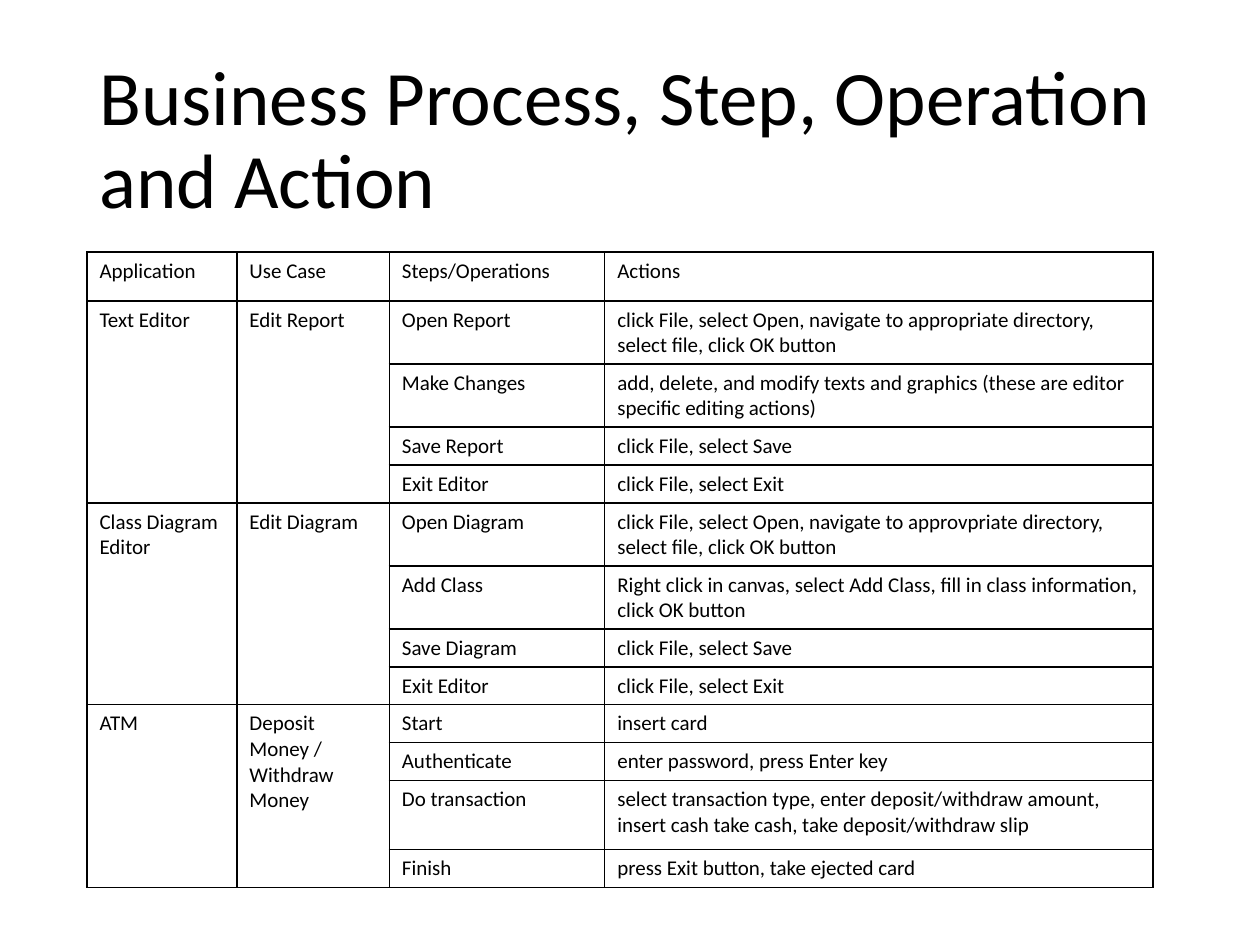
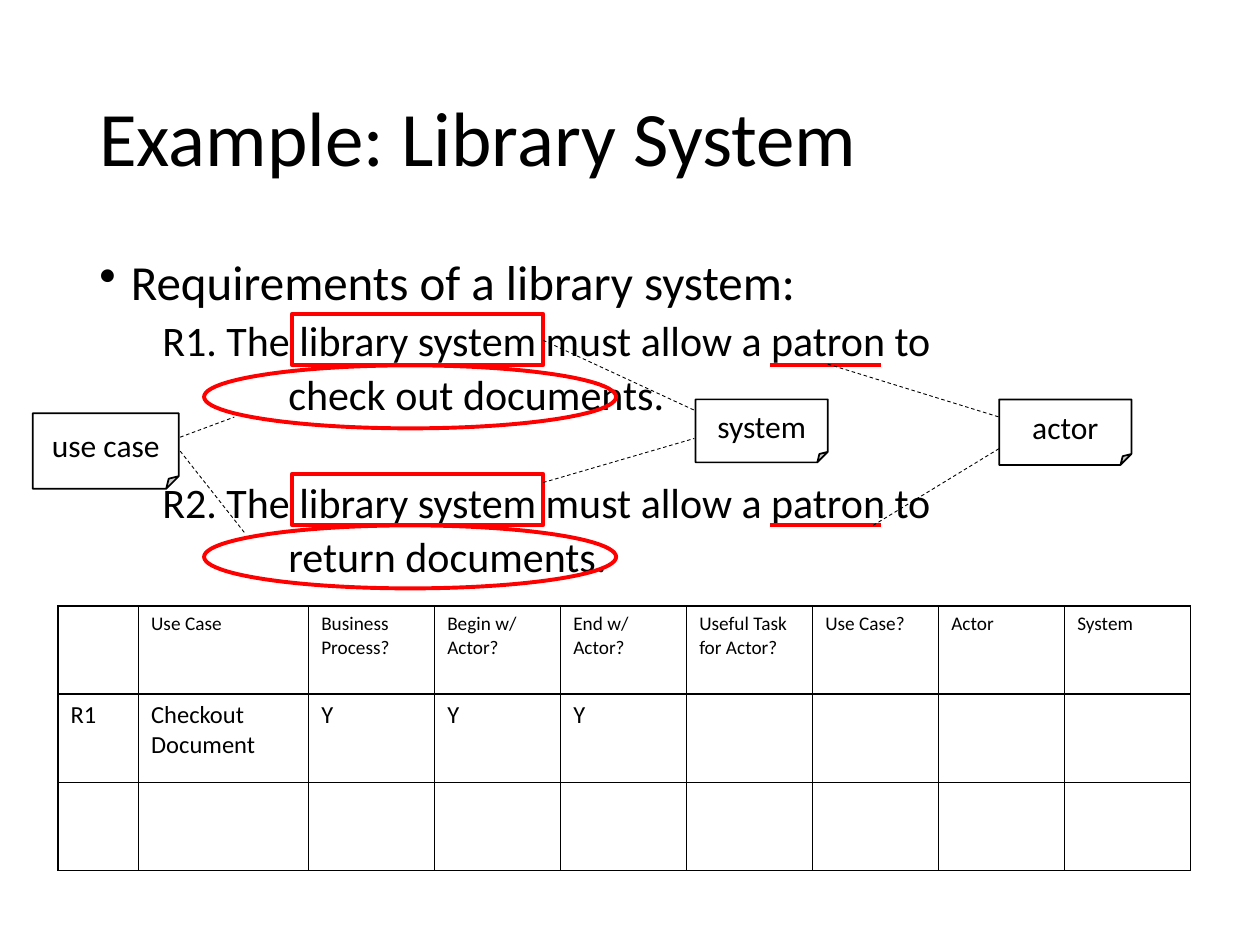
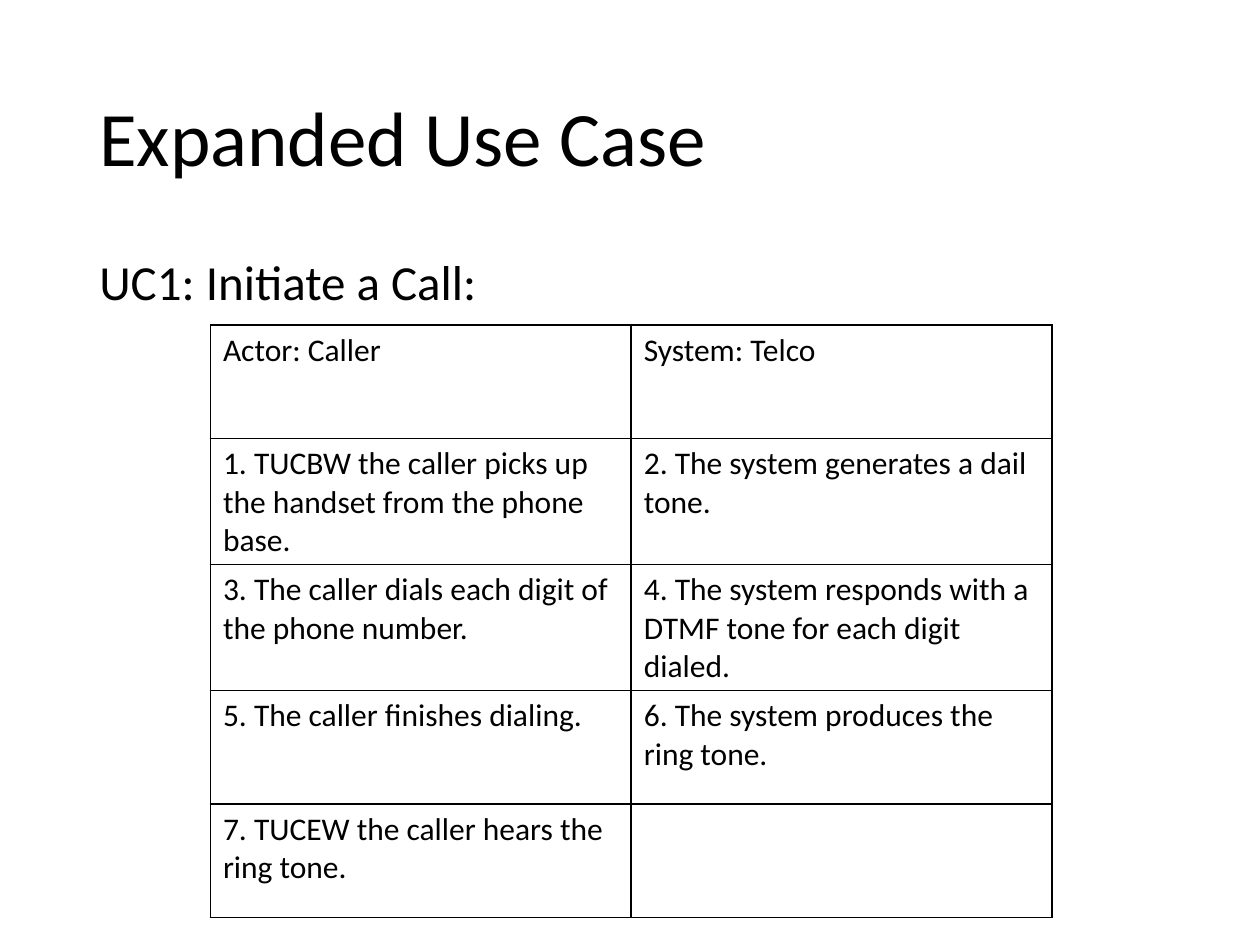
import pptx
import pptx.dml.color
import pptx.enum.dml
import pptx.enum.shapes
import pptx.enum.text
import pptx.oxml
import pptx.oxml.ns
import pptx.util
from pptx.util import Inches

FONT = "Calibri"
BLACK, WHITE, RED = "000000", "FFFFFF", "FF0000"
TITLE_BOX = (0.69, 0.4, 8.62, 1.45)
BODY_BOX = (0.69, 2, 8.62, 4.76)
SHAPES = pptx.enum.shapes.MSO_SHAPE
ALIGN = pptx.enum.text.PP_ALIGN
ANCHOR = pptx.enum.text.MSO_ANCHOR


def color(value):
    """Turn a hex string into a colour."""
    return pptx.dml.color.RGBColor.from_string(value)


def inches(values):
    """Turn numbers into lengths in inches."""
    return [Inches(value) for value in values]


def write(frame, text, size=18, align=ALIGN.LEFT, line_spacing=None, before=0,
          left=0, bullet=None):
    """Add one formatted paragraph to a text frame."""
    paragraph = frame.paragraphs[0] if not frame.text else frame.add_paragraph()
    paragraph.alignment = align
    paragraph.line_spacing = line_spacing
    paragraph.space_before = pptx.util.Pt(before)
    run = paragraph.add_run()
    run.text = text
    run.font.name = FONT
    run.font.size = pptx.util.Pt(size)
    run.font.color.rgb = color(BLACK)
    properties = paragraph._p.get_or_add_pPr()
    properties.set("marL", str(Inches(left)))
    if bullet:
        properties.set("indent", str(-Inches(left)))
        properties.append(pptx.oxml.parse_xml(
            f'<a:buChar {pptx.oxml.ns.nsdecls("a")} char="{bullet}"/>'))


def add_text_box(slide, box, anchor=ANCHOR.TOP):
    """Add a wrapping text box and return its text frame."""
    frame = slide.shapes.add_textbox(*inches(box)).text_frame
    frame.word_wrap = True
    frame.vertical_anchor = anchor
    return frame


def add_titled_slide(presentation, title):
    """Add a blank slide with the shared title."""
    slide = presentation.slides.add_slide(presentation.slide_layouts[6])
    frame = add_text_box(slide, TITLE_BOX, ANCHOR.MIDDLE)
    write(frame, title, size=44, line_spacing=0.9)
    return slide


def add_borders(cell):
    """Draw a thin black line on all sides of a cell."""
    properties = cell._tc.get_or_add_tcPr()
    for side in ("lnL", "lnR", "lnT", "lnB"):
        properties.append(pptx.oxml.parse_xml(
            f'<a:{side} {pptx.oxml.ns.nsdecls("a")} w="{pptx.util.Pt(1)}">'
            f'<a:solidFill><a:srgbClr val="{BLACK}"/></a:solidFill></a:{side}>'))


def add_grid(slide, position, widths, heights, rows, size, header_size=None):
    """Add a bordered table; None leaves a cell empty."""
    box = (*position, sum(widths), sum(heights))
    table = slide.shapes.add_table(len(heights), len(widths), *inches(box)).table
    table.first_row = table.horz_banding = False
    for column, width in zip(table.columns, widths):
        column.width = Inches(width)
    for index, (row, height) in enumerate(zip(table.rows, heights)):
        row.height = Inches(height)
        text_size = header_size if header_size and index == 0 else size
        for cell, text in zip(row.cells, rows[index]):
            add_borders(cell)
            cell.fill.background()
            if text:
                write(cell.text_frame, text, size=text_size)
    return table


def add_outline(slide, kind, box, line=RED, width=2.25, fill=None):
    """Add an outlined preset shape."""
    shape = slide.shapes.add_shape(kind, *inches(box))
    shape.shadow.inherit = False
    shape.line.color.rgb = color(line)
    shape.line.width = pptx.util.Pt(width)
    if fill:
        shape.fill.solid()
        shape.fill.fore_color.rgb = color(fill)
    else:
        shape.fill.background()
    return shape


def add_line(slide, ends, line=BLACK, width=0.5, dashed=False):
    """Add a straight line between two points."""
    connector = slide.shapes.add_connector(
        pptx.enum.shapes.MSO_CONNECTOR.STRAIGHT, *inches(ends))
    connector.line.color.rgb = color(line)
    connector.line.width = pptx.util.Pt(width)
    if dashed:
        connector.line.dash_style = pptx.enum.dml.MSO_LINE.DASH
    connector._element.spPr.append(pptx.oxml.parse_xml(
        f'<a:effectLst {pptx.oxml.ns.nsdecls("a")}/>'))


def add_note(slide, text, box):
    """Add a labelled note with a folded corner."""
    frame = add_outline(slide, SHAPES.FOLDED_CORNER, box, BLACK, 1, WHITE).text_frame
    frame.word_wrap = True
    frame.vertical_anchor = ANCHOR.MIDDLE
    write(frame, text, align=ALIGN.CENTER)


def mark_requirement(slide, top):
    """Mark the system, use case and actor of one requirement."""
    base = top + 0.41
    add_outline(slide, SHAPES.RECTANGLE, (2.32, top, 1.99, 0.41))
    add_outline(slide, SHAPES.OVAL, (1.62, base, 3.27, 0.5))
    add_line(slide, (6.11, base, 6.99, base), RED, 2.25)


def build_process_slide(presentation):
    """Build the table of applications, use cases, steps and actions."""
    slide = add_titled_slide(presentation, "Business Process, Step, Operation and Action")
    open_file = "click File, select Open, navigate to {} directory, select file, click OK button"
    save, leave = "click File, select Save", "click File, select Exit"
    applications = [
        ("Text Editor", "Edit Report", [
            ("Open Report", open_file.format("appropriate")),
            ("Make Changes", "add, delete, and modify texts and graphics "
                             "(these are editor specific editing actions)"),
            ("Save Report", save),
            ("Exit Editor", leave)]),
        ("Class Diagram Editor", "Edit Diagram", [
            ("Open Diagram", open_file.format("approvpriate")),
            ("Add Class", "Right click in canvas, select Add Class, "
                          "fill in class information, click OK button"),
            ("Save Diagram", save),
            ("Exit Editor", leave)]),
        ("ATM", "Deposit Money / Withdraw Money", [
            ("Start", "insert card"),
            ("Authenticate", "enter password, press Enter key"),
            ("Do transaction", "select transaction type, enter deposit/withdraw amount, "
                               "insert cash take cash, take deposit/withdraw slip"),
            ("Finish", "press Exit button, take ejected card")]),
    ]
    rows = [("Application", "Use Case", "Steps/Operations", "Actions")]
    for application, use_case, steps in applications:
        for index, step in enumerate(steps):
            rows.append((*((None, None) if index else (application, use_case)), *step))
    editor_heights = [0.39, 0.39, 0.28, 0.28]
    heights = [0.39, *editor_heights * 2, 0.28, 0.28, 0.55, 0.28]
    table = add_grid(slide, (0.69, 2), (1.19, 1.21, 1.71, 4.35), heights, rows, 12)
    for first in range(1, len(rows), 4):
        for column in (0, 1):
            table.cell(first, column).merge(table.cell(first + 3, column))


def build_library_slide(presentation):
    """Build the library example with marked requirements and a checklist."""
    slide = add_titled_slide(presentation, "Example: Library System")
    body = add_text_box(slide, BODY_BOX)
    write(body, "Requirements of a library system:", size=28, line_spacing=0.9,
          before=10, left=0.25, bullet="\u2022")
    requirements = [("R1", "check out documents.", 5), ("R2", "return documents.", 36)]
    for number, task, before in requirements:
        write(body, f"{number}. The library system must allow a patron to", size=24,
              line_spacing=0.9, before=before, left=0.5)
        write(body, task, size=24, line_spacing=0.9, before=5, left=1.5)
    rows = [
        (None, "Use Case", "Business Process?", "Begin w/ Actor?", "End w/ Actor?",
         "Useful Task for Actor?", "Use Case?", "Actor", "System"),
        ("R1", "Checkout Document", "Y", "Y", "Y"),
        (),
    ]
    rows = [row + (None,) * (9 - len(row)) for row in rows]
    add_grid(slide, (0.46, 4.81), [0.64, 1.35] + [1] * 7, [0.7] * 3, rows, 14, 11)
    for top in (2.49, 3.76):
        mark_requirement(slide, top)
    add_note(slide, "use case", (0.26, 3.28, 1.16, 0.6))
    add_note(slide, "system", (5.52, 3.17, 1.05, 0.5))
    add_note(slide, "actor", (7.93, 3.17, 1.05, 0.52))
    links = [
        (1.43, 3.47, 1.86, 3.31), (1.43, 3.58, 1.95, 4.24),
        (4.31, 2.7, 5.52, 3.26), (4.31, 3.83, 5.51, 3.48),
        (6.57, 2.89, 7.93, 3.31), (6.93, 4.17, 7.93, 3.56),
    ]
    for ends in links:
        add_line(slide, ends, dashed=True)


def build_call_slide(presentation):
    """Build the expanded use case as a two-column dialogue."""
    slide = add_titled_slide(presentation, "Expanded Use Case")
    body = add_text_box(slide, BODY_BOX)
    write(body, "UC1: Initiate a Call:", size=28, line_spacing=0.9, before=10)
    rows = [
        ("Actor: Caller", "System: Telco"),
        ("1. TUCBW the caller picks up the handset from the phone base.",
         "2. The system generates a dail tone."),
        ("3. The caller dials each digit of the phone number.",
         "4. The system responds with a DTMF tone for each digit dialed."),
        ("5. The caller finishes dialing.", "6. The system produces the ring tone."),
        ("7. TUCEW the caller hears the ring tone.", None),
    ]
    add_grid(slide, (1.67, 2.58), [3.34] * 2, [0.9] * 5, rows, 18)


def main():
    """Build and save the presentation."""
    presentation = pptx.Presentation()
    presentation.slide_width, presentation.slide_height = inches((10, 7.5))
    build_process_slide(presentation)
    build_library_slide(presentation)
    build_call_slide(presentation)
    presentation.save("out.pptx")


main()
